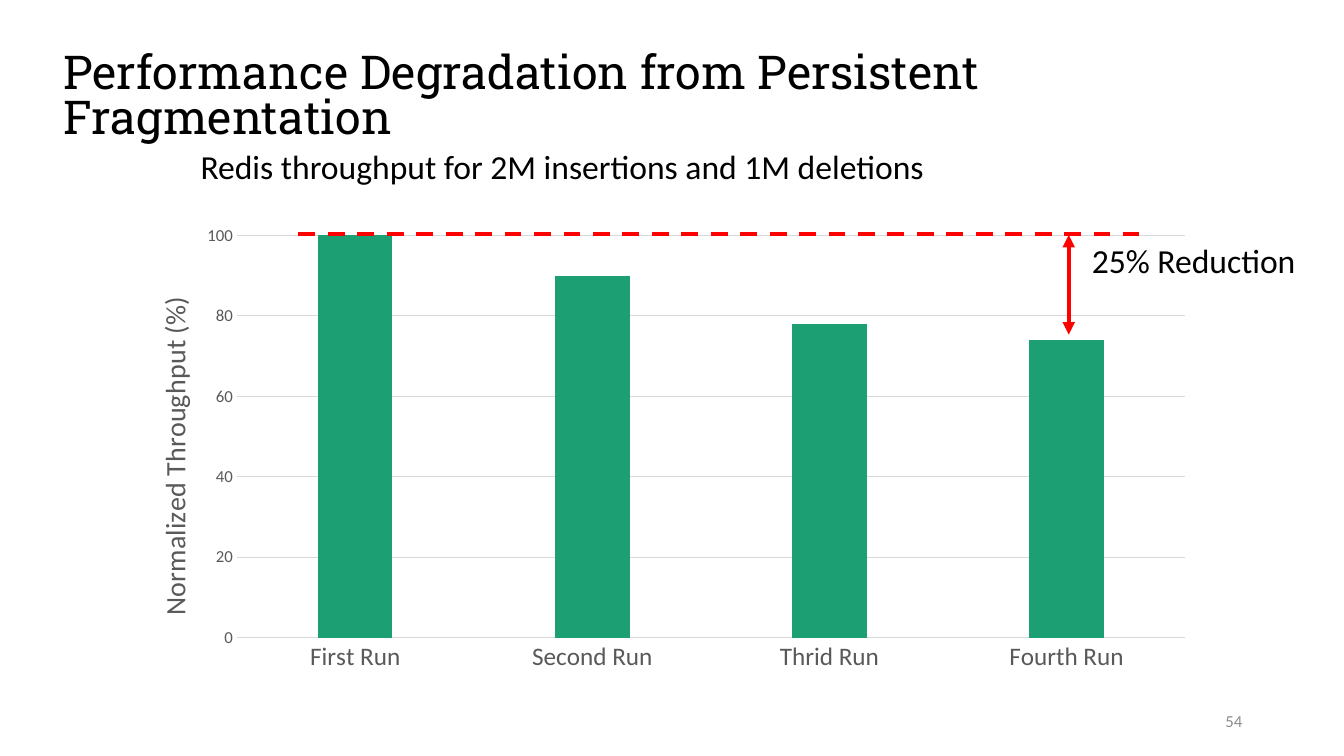
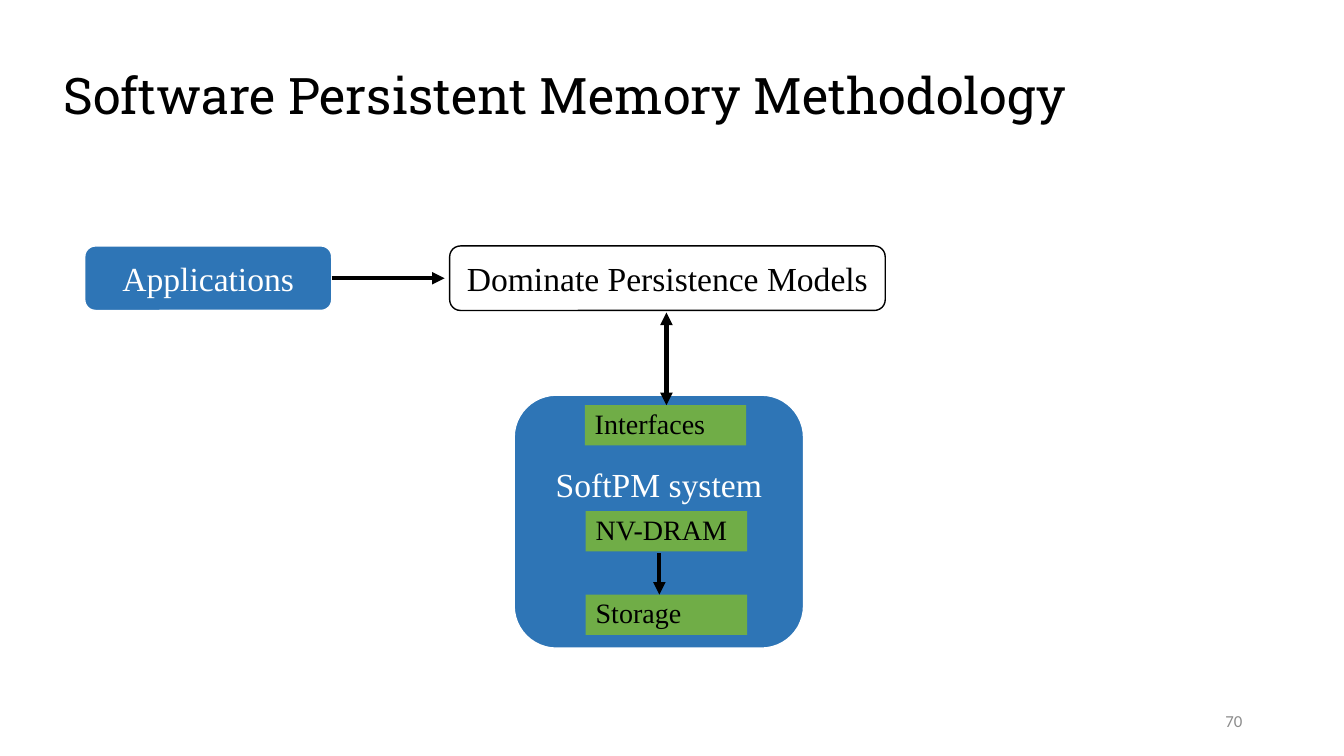
from dataclasses import dataclass
from typing import Optional

from lxml import etree
from pptx import Presentation
from pptx.chart.data import CategoryChartData
from pptx.dml.color import RGBColor
from pptx.enum.chart import XL_CHART_TYPE as ChartType, XL_TICK_MARK as TickMark
from pptx.enum.dml import MSO_LINE_DASH_STYLE as Dash
from pptx.enum.shapes import MSO_CONNECTOR as Connector, MSO_SHAPE as Shape
from pptx.enum.text import MSO_ANCHOR as Anchor, MSO_AUTO_SIZE as AutoSize, PP_ALIGN as Align
from pptx.oxml.ns import qn
from pptx.util import Inches, Pt

BLACK = RGBColor(0x00, 0x00, 0x00)
WHITE = RGBColor(0xFF, 0xFF, 0xFF)
RED = RGBColor(0xFF, 0x00, 0x00)
BLUE = RGBColor(0x2E, 0x75, 0xB6)
LABEL_GREEN = RGBColor(0x70, 0xAD, 0x47)
BAR_GREEN = RGBColor(0x1D, 0x9F, 0x74)
AXIS_GRAY = RGBColor(0x59, 0x59, 0x59)
GRID_GRAY = RGBColor(0xD9, 0xD9, 0xD9)
NUMBER_GRAY = RGBColor(0x8C, 0x8C, 0x8C)

TITLE_FONT = "Roboto Slab"
BODY_FONT = "Calibri"
DIAGRAM_FONT = "Times New Roman"


@dataclass
class Node:
    text: str
    left: float
    top: float
    width: float
    height: float
    fill: RGBColor = BLUE
    outline: Optional[RGBColor] = WHITE
    color: RGBColor = WHITE
    size: int = 24
    text_top: Optional[float] = None


@dataclass
class Line:
    start: tuple[float, float]
    end: tuple[float, float]
    color: RGBColor = BLACK
    head: bool = False
    tail: bool = True
    dashed: bool = False


def style_font(font, size: float, name: str, color: RGBColor) -> None:
    font.size = Pt(size)
    font.name = name
    font.bold = False
    font.color.rgb = color


def add_page(deck, title: str, number: str, size: float = 36, spacing: float = 0.9):
    page = deck.slides.add_slide(deck.slide_layouts[5])
    box = page.shapes.title
    box.left, box.top, box.width, box.height = map(Inches, (0.53, 0.62, 12.29, 0.71))
    frame = box.text_frame
    frame.text = title
    frame.word_wrap = True
    frame.auto_size = AutoSize.NONE
    frame.vertical_anchor = Anchor.MIDDLE
    para = frame.paragraphs[0]
    para.alignment = Align.LEFT
    para.line_spacing = spacing
    style_font(para.font, size, TITLE_FONT, BLACK)
    add_text(page, number, 9.42, 6.95, 3, 0.4, 12, NUMBER_GRAY, Align.RIGHT, Anchor.MIDDLE)
    return page


def add_text(page, text: str, left: float, top: float, width: float, height: float,
             size: float = 24, color: RGBColor = BLACK, align: Align = Align.LEFT,
             anchor: Anchor = Anchor.TOP) -> None:
    box = page.shapes.add_textbox(*map(Inches, (left, top, width, height)))
    frame = box.text_frame
    frame.text = text
    frame.word_wrap = True
    frame.vertical_anchor = anchor
    para = frame.paragraphs[0]
    para.alignment = align
    style_font(para.font, size, BODY_FONT, color)


def add_node(page, node: Node) -> None:
    is_label = node.outline is None
    kind = Shape.RECTANGLE if is_label else Shape.ROUNDED_RECTANGLE
    box = page.shapes.add_shape(
        kind, *map(Inches, (node.left, node.top, node.width, node.height)))
    box.shadow.inherit = False
    box.fill.solid()
    box.fill.fore_color.rgb = node.fill
    if is_label:
        box.line.fill.background()
    else:
        box.line.color.rgb = node.outline
        box.line.width = Pt(1)
    frame = box.text_frame
    frame.text = node.text
    frame.word_wrap = True
    frame.vertical_anchor = Anchor.MIDDLE
    if node.text_top is not None:
        frame.vertical_anchor = Anchor.TOP
        frame.margin_top = Inches(node.text_top)
    para = frame.paragraphs[0]
    para.alignment = Align.LEFT if is_label else Align.CENTER
    if is_label:
        para.line_spacing = 0.9
    style_font(para.font, node.size, DIAGRAM_FONT, node.color)


def add_line(page, line: Line) -> None:
    connector = page.shapes.add_connector(
        Connector.STRAIGHT, *map(Inches, (*line.start, *line.end)))
    connector.line.color.rgb = line.color
    connector.line.width = Pt(3)
    if line.dashed:
        connector.line.dash_style = Dash.DASH
    properties = connector._element.spPr
    outline = properties.find(qn("a:ln"))
    for shown, tag in ((line.head, "a:headEnd"), (line.tail, "a:tailEnd")):
        if shown:
            etree.SubElement(outline, qn(tag), type="triangle")
    etree.SubElement(properties, qn("a:effectLst"))


def set_layout(parent, index: int, **values: str) -> None:
    layout = parent.find(qn("c:layout"))
    if layout is None:
        layout = etree.Element(qn("c:layout"))
        parent.insert(index, layout)
    manual = etree.SubElement(layout, qn("c:manualLayout"))
    for tag, value in values.items():
        etree.SubElement(manual, qn(f"c:{tag}"), val=value)


def add_throughput_chart(page) -> None:
    data = CategoryChartData()
    data.categories = ["First Run", "Second Run", "Thrid Run", "Fourth Run"]
    data.add_series("Series 1", (100, 90, 78, 74))
    chart = page.shapes.add_chart(
        ChartType.COLUMN_CLUSTERED, *map(Inches, (1.16, 2.15, 10.81, 4.64)), data).chart
    chart.has_title = False
    chart.has_legend = False
    style_font(chart.font, 12, BODY_FONT, BLACK)

    plot = chart.plots[0]
    plot.gap_width = 219
    plot.overlap = -27
    plot.vary_by_categories = False
    bars = plot.series[0].format.fill
    bars.solid()
    bars.fore_color.rgb = BAR_GREEN

    categories, values = chart.category_axis, chart.value_axis
    for axis, size in ((categories, 18), (values, 12)):
        axis.major_tick_mark = TickMark.NONE
        axis.minor_tick_mark = TickMark.NONE
        style_font(axis.tick_labels.font, size, BODY_FONT, AXIS_GRAY)
    values.minimum_scale = 0
    values.maximum_scale = 100
    values.major_unit = 20
    values.has_major_gridlines = True
    values.format.line.fill.background()
    for rule in (categories.format.line, values.major_gridlines.format.line):
        rule.color.rgb = GRID_GRAY
        rule.width = Pt(0.75)

    title = values.axis_title
    title.text_frame.text = "Normalized Throughput (%)"
    style_font(title.text_frame.paragraphs[0].font, 20, BODY_FONT, AXIS_GRAY)
    set_layout(title._element, 1, xMode="edge", yMode="edge", x="0.03", y="0.16")
    set_layout(chart._chartSpace.chart.plotArea, 0, layoutTarget="inner",
               xMode="edge", yMode="edge", x="0.11", y="0.04", w="0.87", h="0.86")


def build_degradation(deck) -> None:
    page = add_page(deck, "Performance Degradation from Persistent Fragmentation", "54",
                    size=33.3, spacing=0.8)
    add_throughput_chart(page)
    add_line(page, Line((10.6, 2.33), (10.6, 3.32), RED, head=True))
    add_text(page, "25% Reduction", 10.73, 2.33, 2.35, 0.5)
    add_text(page, "Redis throughput for 2M insertions and 1M deletions", 1.89, 1.4, 9.85, 0.5)
    add_line(page, Line((2.96, 2.32), (11.3, 2.32), RED, tail=False, dashed=True))


def build_methodology(deck) -> None:
    page = add_page(deck, "Software Persistent Memory Methodology", "70")
    nodes = [
        Node("SoftPM system", 5.1, 3.92, 2.87, 2.51, text_top=0.56),
        Node("Applications", 0.84, 2.44, 2.45, 0.64),
        Node("Dominate Persistence Models", 4.46, 2.44, 4.32, 0.64, WHITE, BLACK, BLACK),
    ]
    labels = (("Interfaces", 5.8, 4.02), ("NV-DRAM", 5.81, 5.07), ("Storage", 5.81, 5.9))
    nodes += [Node(text, left, top, 1.6, 0.4, LABEL_GREEN, None, BLACK, 20)
              for text, left, top in labels]
    for node in nodes:
        add_node(page, node)
    for line in (
        Line((6.54, 5.49), (6.54, 5.9)),
        Line((3.29, 2.76), (4.41, 2.76)),
        Line((6.61, 3.1), (6.61, 4.02), head=True),
    ):
        add_line(page, line)


def main() -> None:
    deck = Presentation()
    deck.slide_width, deck.slide_height = Inches(13.33), Inches(7.5)
    build_degradation(deck)
    build_methodology(deck)
    deck.save("out.pptx")


if __name__ == "__main__":
    main()
